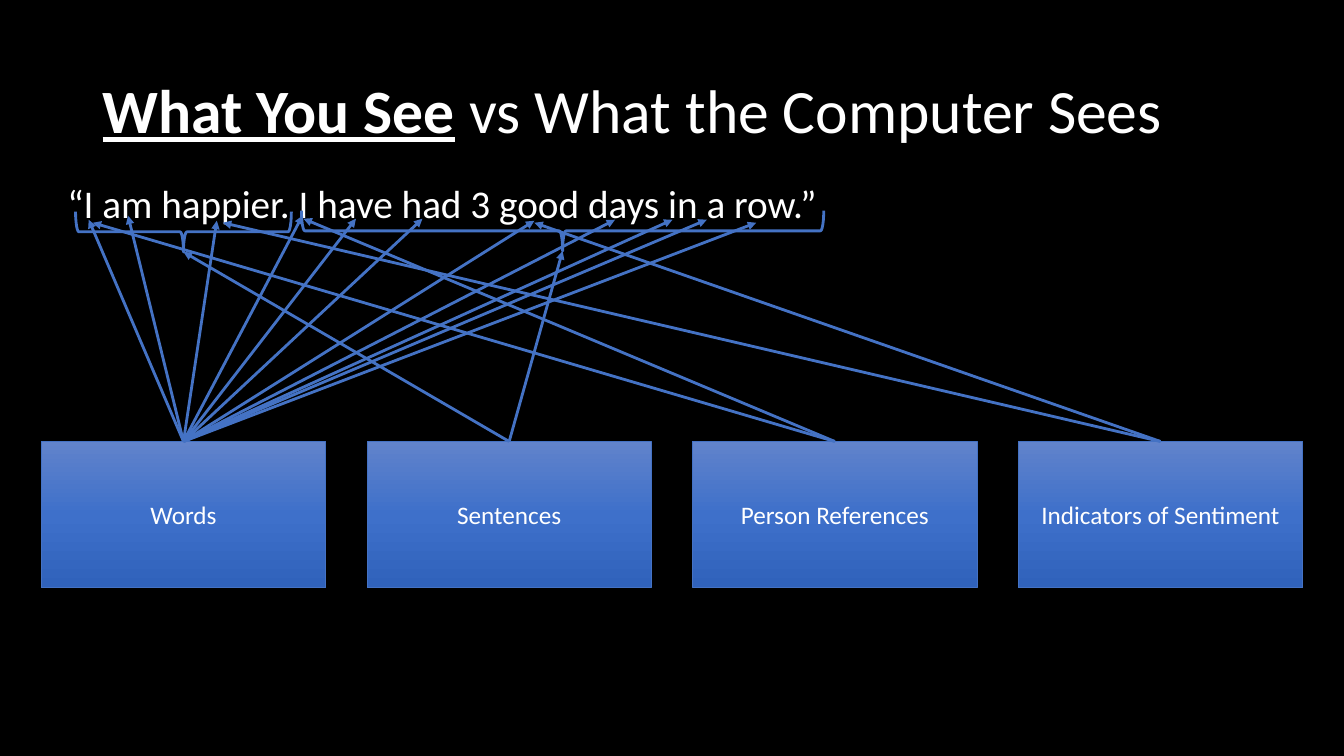
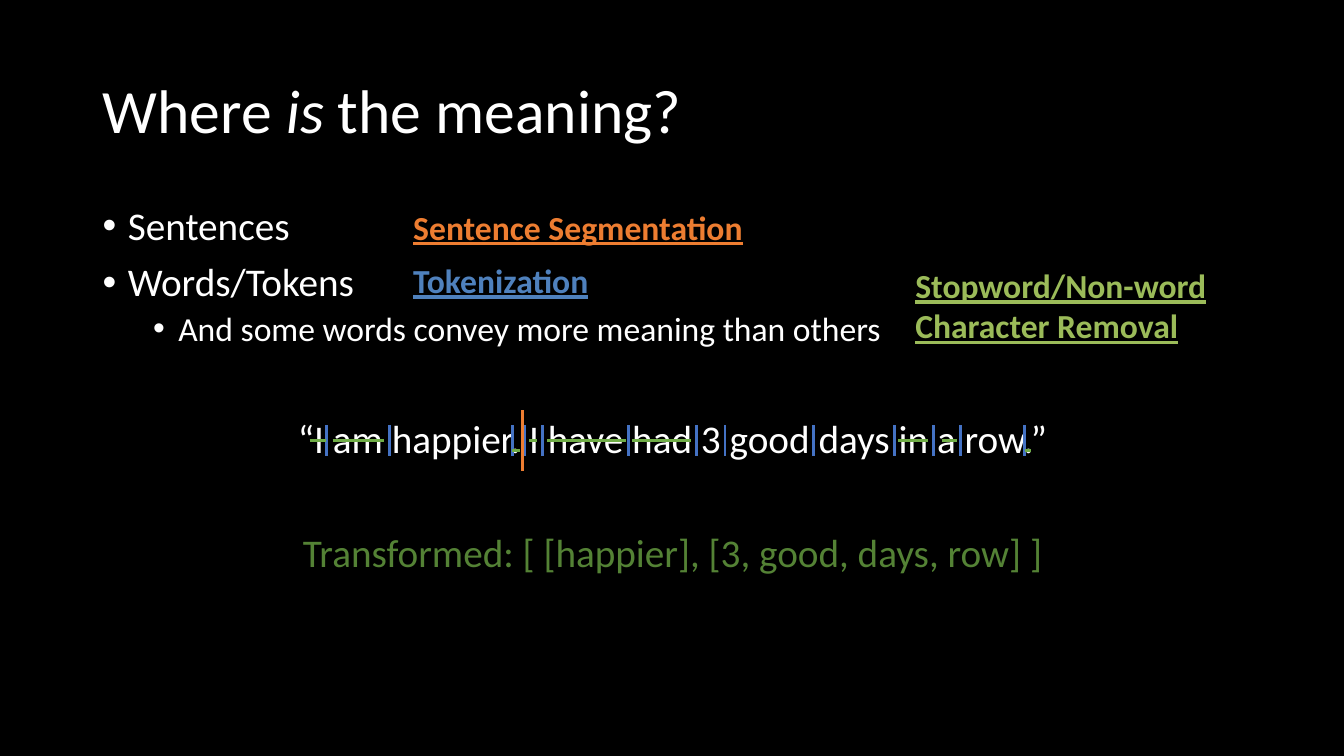
from copy import deepcopy
from dataclasses import dataclass

from lxml import etree
from pptx import Presentation
from pptx.dml.color import RGBColor
from pptx.enum.shapes import MSO_CONNECTOR, MSO_SHAPE
from pptx.enum.text import MSO_ANCHOR, MSO_AUTO_SIZE, PP_ALIGN
from pptx.oxml.ns import qn
from pptx.shapes.autoshape import Shape
from pptx.shapes.connector import Connector
from pptx.slide import Slide
from pptx.util import Emu, Pt

STRAIGHT = MSO_CONNECTOR.STRAIGHT
RECTANGLE, LEFT_BRACE = MSO_SHAPE.RECTANGLE, MSO_SHAPE.LEFT_BRACE
LEFT, CENTER = PP_ALIGN.LEFT, PP_ALIGN.CENTER
TOP, MIDDLE = MSO_ANCHOR.TOP, MSO_ANCHOR.MIDDLE
FIT_SHAPE = MSO_AUTO_SIZE.SHAPE_TO_FIT_TEXT

EMU_PER_PX = 9144  # 100 px to the inch
SLIDE_W, SLIDE_H = 1333, 750
FONT = "Calibri"
BLACK, WHITE = "000000", "FFFFFF"
BLUE, ORANGE, GREEN = "4472C4", "ED7D31", "70AD47"
DARK_GREEN, TOKEN_BLUE, STOPWORD_GREEN = "548235", "4F81BD", "9BBB59"
BOX_GRADIENT = ((0, "6183CB"), (0.5, "3E70CA"), (1, "3062BB"))
QUOTE = "“I am happier. I have had 3 good days in a row.”"


@dataclass(frozen=True)
class Span:
    text: str
    bold: bool = False
    italic: bool = False
    underline: bool = False


@dataclass(frozen=True)
class Para:
    spans: tuple[Span, ...]
    size: int = 28
    color: str = WHITE
    align: PP_ALIGN = LEFT
    before: int = 10
    spacing: float = 0.9
    level: int = 0
    bullet_indent: int = 0


@dataclass(frozen=True)
class Category:
    label: str
    targets: tuple[tuple[int, int], ...]


@dataclass(frozen=True)
class Technique:
    text: str
    color: str
    box: tuple[int, int, int, int]


# Slide 1: what each category points to in the quote
CATEGORIES = (
    Category("Words", ((88, 218), (127, 214), (215, 219), (300, 214), (353, 217),
                       (419, 217), (610, 218), (667, 218), (530, 219), (701, 218),
                       (750, 221))),
    Category("Sentences", ((182, 250), (558, 249))),
    Category("Person References", ((301, 217), (92, 221))),
    Category("Indicators of Sentiment", ((530, 221), (221, 221))),
)
BOX_LEFT, BOX_TOP, BOX_W, BOX_H, BOX_STEP = 41, 438, 282, 145, 323
BRACES = ((162, 123, 40, 214), (538, -30, 40, 518))

# Slide 2: techniques and the marks over the quote
TECHNIQUES = (
    Technique("Tokenization", TOKEN_BLUE, (400, 253, 196, 50)),
    Technique("Sentence Segmentation", ORANGE, (400, 200, 351, 50)),
    Technique("Stopword/Non-word\nCharacter Removal", STOPWORD_GREEN,
              (898, 258, 311, 91)),
)
QUOTE_MIDDLE = 437
TOKEN_BREAKS = (324, 386, 508, 520, 538, 623, 691, 719, 807, 887, 926, 953, 1016)
SENTENCE_BREAK = 518
STOPWORDS = ((307, 323), (330, 381), (525, 533), (543, 621), (627, 685),
             (891, 920), (934, 949))
FULL_STOPS = ((508, 516), (1017, 1023))
FULL_STOP_Y = 447


def px(length: int) -> Emu:
    return Emu(length * EMU_PER_PX)


def rgb(value: str) -> RGBColor:
    return RGBColor.from_string(value)


def add_bullet(paragraph, level: int, indent: int) -> None:
    paragraph.level = level
    properties = paragraph._p.get_or_add_pPr()
    properties.set("marL", str(px(indent)))
    properties.set("indent", str(px(-25)))
    etree.SubElement(properties, qn("a:buFont")).set("typeface", "Arial")
    etree.SubElement(properties, qn("a:buChar")).set("char", "•")


def write(shape: Shape, paras: tuple[Para, ...], anchor: MSO_ANCHOR = TOP) -> None:
    frame = shape.text_frame
    frame.word_wrap = True
    frame.vertical_anchor = anchor
    for index, para in enumerate(paras):
        paragraph = frame.add_paragraph() if index else frame.paragraphs[0]
        paragraph.alignment = para.align
        paragraph.line_spacing = para.spacing
        paragraph.space_before = Pt(para.before)
        if para.bullet_indent:
            add_bullet(paragraph, para.level, para.bullet_indent)
        for span in para.spans:
            run = paragraph.add_run()
            run.text = span.text
            font = run.font
            font.name, font.size = FONT, Pt(para.size)
            font.bold, font.italic = span.bold, span.italic
            font.underline = span.underline
            font.color.rgb = rgb(para.color)


def add_text(slide: Slide, box: tuple[int, int, int, int],
             paras: tuple[Para, ...], anchor: MSO_ANCHOR = TOP) -> Shape:
    holder = slide.shapes.add_textbox(*map(px, box))
    write(holder, paras, anchor)
    return holder


def add_line(slide: Slide, start: tuple[int, int], end: tuple[int, int],
             color: str = BLUE, width: float = 2, arrow: bool = False) -> Connector:
    line = slide.shapes.add_connector(STRAIGHT, *map(px, (*start, *end)))
    line.line.color.rgb = rgb(color)
    line.line.width = Pt(width)
    properties = line._element.spPr
    if arrow:
        outline = properties.find(qn("a:ln"))
        etree.SubElement(outline, qn("a:tailEnd")).set("type", "triangle")
    etree.SubElement(properties, qn("a:effectLst"))
    return line


def add_titled_slide(deck, *title: Span) -> Slide:
    slide = deck.slides.add_slide(deck.slide_layouts[6])
    slide.background.fill.solid()
    slide.background.fill.fore_color.rgb = rgb(BLACK)
    add_text(slide, (92, 40, 1150, 145), (Para(title, size=44, before=0),), MIDDLE)
    return slide


def add_category_box(slide: Slide, label: str, left: int) -> Shape:
    box = slide.shapes.add_shape(
        RECTANGLE, *map(px, (left, BOX_TOP, BOX_W, BOX_H)))
    box.shadow.inherit = False
    box.fill.gradient()
    box.fill.gradient_angle = 270
    stops = box._element.spPr.find(qn("a:gradFill")).find(qn("a:gsLst"))
    stops.append(deepcopy(stops[-1]))
    for stop, (position, color) in zip(box.fill.gradient_stops, BOX_GRADIENT):
        stop.position = position
        stop.color.rgb = rgb(color)
    box.line.color.rgb = rgb(BLUE)
    box.line.width = Pt(0.5)
    caption = Para((Span(label),), size=18, align=CENTER, before=0, spacing=1.0)
    write(box, (caption,), MIDDLE)
    return box


def add_brace(slide: Slide, frame: tuple[int, int, int, int]) -> None:
    brace = slide.shapes.add_shape(LEFT_BRACE, *map(px, frame))
    brace.rotation = 270
    brace.shadow.inherit = False
    brace.fill.background()
    brace.line.color.rgb = rgb(BLUE)
    brace.line.width = Pt(2)


def build_what_you_see(deck) -> None:
    slide = add_titled_slide(deck, Span("What You See", bold=True, underline=True),
                             Span(" vs What the Computer Sees"))
    add_text(slide, (57, 178, 877, 307), (Para((Span(QUOTE),)),))
    for frame in BRACES:
        add_brace(slide, frame)
    for index, category in enumerate(CATEGORIES):
        left = BOX_LEFT + index * BOX_STEP
        box = add_category_box(slide, category.label, left)
        for target in category.targets:
            pointer = add_line(slide, (left + BOX_W // 2, BOX_TOP), target, arrow=True)
            pointer.begin_connect(box, 0)


def build_meaning(deck) -> None:
    slide = add_titled_slide(deck, Span("Where "), Span("is", italic=True),
                             Span(" the meaning?"))
    add_text(slide, (92, 200, 1150, 476), (
        Para((Span("Sentences"),), bullet_indent=25),
        Para((Span("Words/Tokens"),), bullet_indent=25),
        Para((Span("And some words convey more meaning than others"),),
             size=24, before=5, level=1, bullet_indent=75),
        Para((Span(QUOTE),), align=CENTER, before=51),
        Para((Span("Transformed: [ [happier], [3, good, days, row] ]"),),
             color=DARK_GREEN, align=CENTER, before=51),
    ))

    # Technique names beside the bullets
    for technique in TECHNIQUES:
        lines = tuple(
            Para((Span(text, bold=True, underline=True),), size=24,
                 color=technique.color, before=0, spacing=1.0)
            for text in technique.text.splitlines())
        label = add_text(slide, technique.box, lines)
        label.text_frame.word_wrap = False
        label.text_frame.auto_size = FIT_SHAPE

    # Token and sentence boundaries
    boundaries = [(x, 15, BLUE) for x in TOKEN_BREAKS]
    boundaries.append((SENTENCE_BREAK, 30, ORANGE))
    for x, reach, color in boundaries:
        add_line(slide, (x, QUOTE_MIDDLE - reach), (x, QUOTE_MIDDLE + reach), color)

    # Struck-out stopwords and full stops
    for strikes, y in ((STOPWORDS, QUOTE_MIDDLE), (FULL_STOPS, FULL_STOP_Y)):
        for start, end in strikes:
            add_line(slide, (start, y), (end, y), GREEN, 2.75)


def main() -> None:
    deck = Presentation()
    deck.slide_width, deck.slide_height = px(SLIDE_W), px(SLIDE_H)
    build_what_you_see(deck)
    build_meaning(deck)
    deck.save("out.pptx")


if __name__ == "__main__":
    main()
